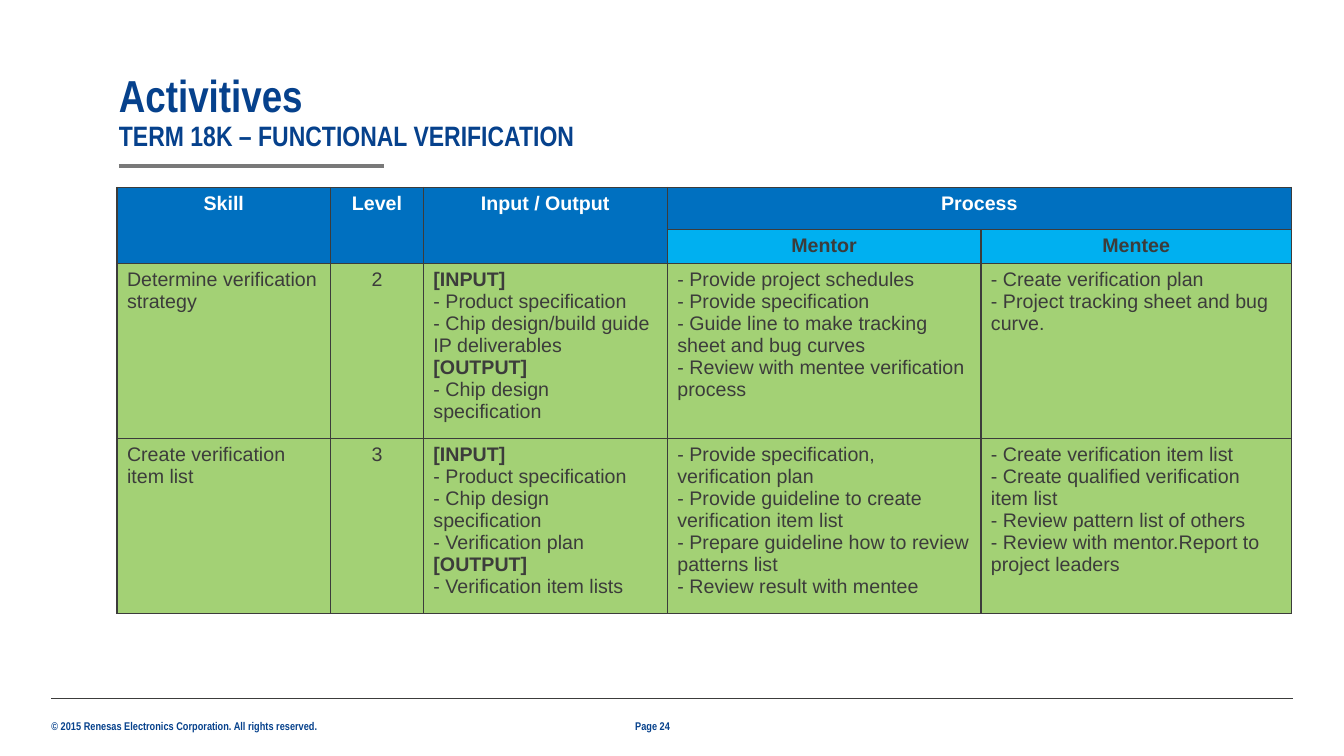
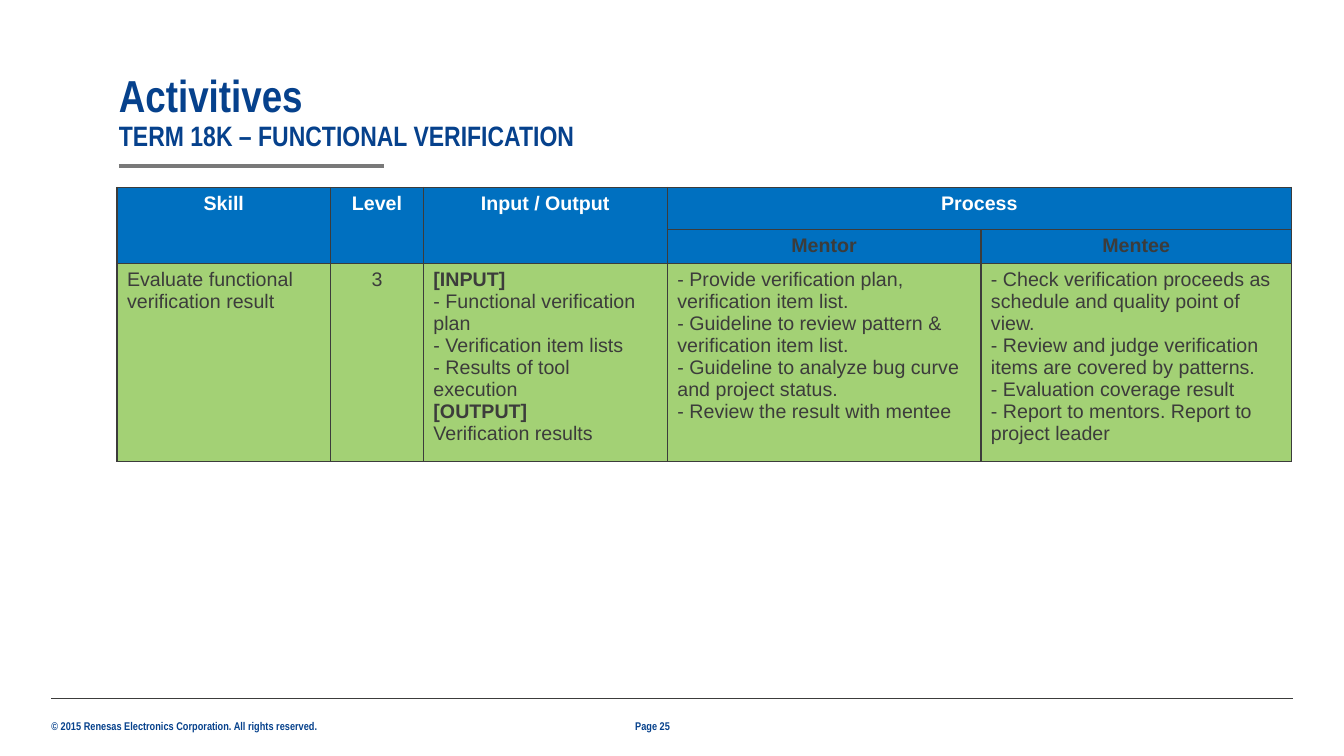
from dataclasses import dataclass

from lxml import etree
from pptx import Presentation
from pptx import util as u
from pptx.dml import color
from pptx.enum import shapes, text
from pptx.oxml import ns

NAVY, INK, RULE_GREY, WHITE = "06418C", "3C3C3B", "797979", "FFFFFF"
BLUE, SKY, GREEN = "0070C0", "00B0F0", "A3D175"
TITLE_FONT, TABLE_FONT = "Arial Narrow", "Arial"

COPYRIGHT = "© 2015 Renesas Electronics Corporation. All rights reserved."
TITLE, SUBTITLE = "Activitives", "TERM 18K – FUNCTIONAL VERIFICATION"
HEADINGS = ["Skill", "Level", "Input / Output", "Process"]
ROLES = ["Mentor", "Mentee"]
COLUMN_WIDTHS = [2.12, 0.92, 2.42, 3.11, 3.08]
HEADER_HEIGHTS = [0.42, 0.32]
LEVEL_COLUMN = 1


@dataclass
class Activity:
    skill: str
    level: str
    input_output: list[str]
    mentor: list[str]
    mentee: list[str]
    height: float = 1.63

    def columns(self) -> list[list[str]]:
        return [[self.skill], [self.level], self.input_output, self.mentor, self.mentee]


@dataclass
class ActivityPage:
    number: int
    role_fill: str
    activities: list[Activity]


PAGES = [
    ActivityPage(24, SKY, [
        Activity(
            "Determine verification strategy", "2",
            ["[INPUT]", "- Product specification", "- Chip design/build guide",
             "IP deliverables", "[OUTPUT]", "- Chip design specification"],
            ["- Provide project schedules", "- Provide specification",
             "- Guide line to make tracking sheet and bug curves",
             "- Review with mentee verification process"],
            ["- Create verification plan", "- Project tracking sheet and bug curve."]),
        Activity(
            "Create verification item list", "3",
            ["[INPUT]", "- Product specification", "- Chip design specification",
             "- Verification plan", "[OUTPUT]", "- Verification item lists"],
            ["- Provide specification, verification plan",
             "- Provide guideline to create verification item list",
             "- Prepare guideline how to review patterns list",
             "- Review result with mentee"],
            ["- Create verification item list",
             "- Create qualified verification item list",
             "- Review pattern list of others",
             "- Review with mentor.Report to project leaders"]),
    ]),
    ActivityPage(25, BLUE, [
        Activity(
            "Evaluate functional verification result", "3",
            ["[INPUT]", "- Functional verification", "plan", "- Verification item lists",
             "- Results of tool execution", "[OUTPUT]", "Verification results"],
            ["- Provide verification plan, verification item list.",
             "- Guideline to review pattern & verification item list.",
             "- Guideline to analyze bug curve and project status.",
             "- Review the result with mentee"],
            ["- Check verification proceeds as schedule and quality point of view.",
             "- Review and judge verification items are covered by patterns.",
             "- Evaluation coverage result",
             "- Report to mentors. Report to project leader"],
            height=1.85),
    ]),
]


def rgb(value: str) -> color.RGBColor:
    return color.RGBColor.from_string(value)


def style_run(run, size: float, font: str, ink: str, bold: bool) -> None:
    run.font.size = u.Pt(size)
    run.font.name = font
    run.font.color.rgb = rgb(ink)
    run.font.bold = bold


def add_label(slide, words: str, left: float, top: float, width: float, height: float,
              sizes: list[float], anchor=text.MSO_ANCHOR.TOP, wrap: bool = True):
    box = slide.shapes.add_textbox(u.Inches(left), u.Inches(top),
                                   u.Inches(width), u.Inches(height))
    frame = box.text_frame
    frame.margin_left = frame.margin_right = frame.margin_top = frame.margin_bottom = 0
    frame.word_wrap = wrap
    frame.vertical_anchor = anchor
    paragraph = frame.paragraphs[0]
    paragraph.text = words
    for run, size in zip(paragraph.runs, sizes):
        style_run(run, size, TITLE_FONT, NAVY, True)
    return paragraph


def add_rule(slide, left: float, right: float, top: float, ink: str, weight: float) -> None:
    rule = slide.shapes.add_connector(shapes.MSO_CONNECTOR.STRAIGHT, u.Inches(left),
                                      u.Inches(top), u.Inches(right), u.Inches(top))
    rule.line.color.rgb = rgb(ink)
    rule.line.width = u.Pt(weight)
    etree.SubElement(rule.element.spPr, ns.qn("a:effectLst"))


def add_frame(slide, page_number: int) -> None:
    add_label(slide, COPYRIGHT, 0.51, 7.14, 2.68, 0.13, [8], wrap=False)
    add_rule(slide, 0.51, 12.82, 6.93, INK, 0.5)
    add_rule(slide, 1.18, 3.81, 1.65, RULE_GREY, 3)
    heading = add_label(slide, f"{TITLE}\v{SUBTITLE}", 1.18, 0.72, 9.84, 0.79,
                        [32, 20], text.MSO_ANCHOR.BOTTOM)
    heading.line_spacing = 0.9
    add_label(slide, f"Page {page_number}", 6.3, 7.14, 0.73, 0.13, [8],
              text.MSO_ANCHOR.MIDDLE)


def style_cell(cell, fill: str) -> None:
    properties = cell._tc.get_or_add_tcPr()
    for side in ("a:lnL", "a:lnR", "a:lnT", "a:lnB"):
        border = etree.SubElement(properties, ns.qn(side), w=str(u.Pt(1)))
        solid = etree.SubElement(border, ns.qn("a:solidFill"))
        etree.SubElement(solid, ns.qn("a:srgbClr"), val=INK)
    cell.fill.solid()
    cell.fill.fore_color.rgb = rgb(fill)


def write_cell(cell, lines: list[str], ink: str = INK, centred: bool = False,
               bold: bool = False) -> None:
    cell.text_frame.text = "\n".join(lines)
    for paragraph in cell.text_frame.paragraphs:
        paragraph.alignment = text.PP_ALIGN.CENTER if centred else text.PP_ALIGN.LEFT
        for run in paragraph.runs:
            style_run(run, 14, TABLE_FONT, ink, bold or run.text.startswith("["))


def add_activity_table(slide, page: ActivityPage) -> None:
    heights = HEADER_HEIGHTS + [activity.height for activity in page.activities]
    grid = slide.shapes.add_table(
        len(heights), len(COLUMN_WIDTHS), u.Inches(1.16), u.Inches(1.86),
        u.Inches(sum(COLUMN_WIDTHS)), u.Inches(sum(heights))).table
    grid.first_row = grid.horz_banding = False
    for column, width in zip(grid.columns, COLUMN_WIDTHS):
        column.width = u.Inches(width)
    first_role = len(HEADINGS) - 1
    for r, height in enumerate(heights):
        grid.rows[r].height = u.Inches(height)
        for c in range(len(COLUMN_WIDTHS)):
            is_role = r == 1 and c >= first_role
            fill = GREEN if r > 1 else page.role_fill if is_role else BLUE
            style_cell(grid.cell(r, c), fill)

    for c, heading in enumerate(HEADINGS):
        end = grid.cell(1, c) if c < first_role else grid.cell(0, len(COLUMN_WIDTHS) - 1)
        grid.cell(0, c).merge(end)
        write_cell(grid.cell(0, c), [heading], WHITE, centred=True, bold=True)
    for c, role in enumerate(ROLES, first_role):
        write_cell(grid.cell(1, c), [role], centred=True, bold=True)
    for r, activity in enumerate(page.activities, len(HEADER_HEIGHTS)):
        for c, lines in enumerate(activity.columns()):
            write_cell(grid.cell(r, c), lines, centred=c == LEVEL_COLUMN)


def main() -> None:
    deck = Presentation()
    deck.slide_width, deck.slide_height = u.Inches(13.33), u.Inches(7.5)
    for page in PAGES:
        slide = deck.slides.add_slide(deck.slide_layouts[6])
        add_frame(slide, page.number)
        add_activity_table(slide, page)
    deck.save("out.pptx")


if __name__ == "__main__":
    main()
